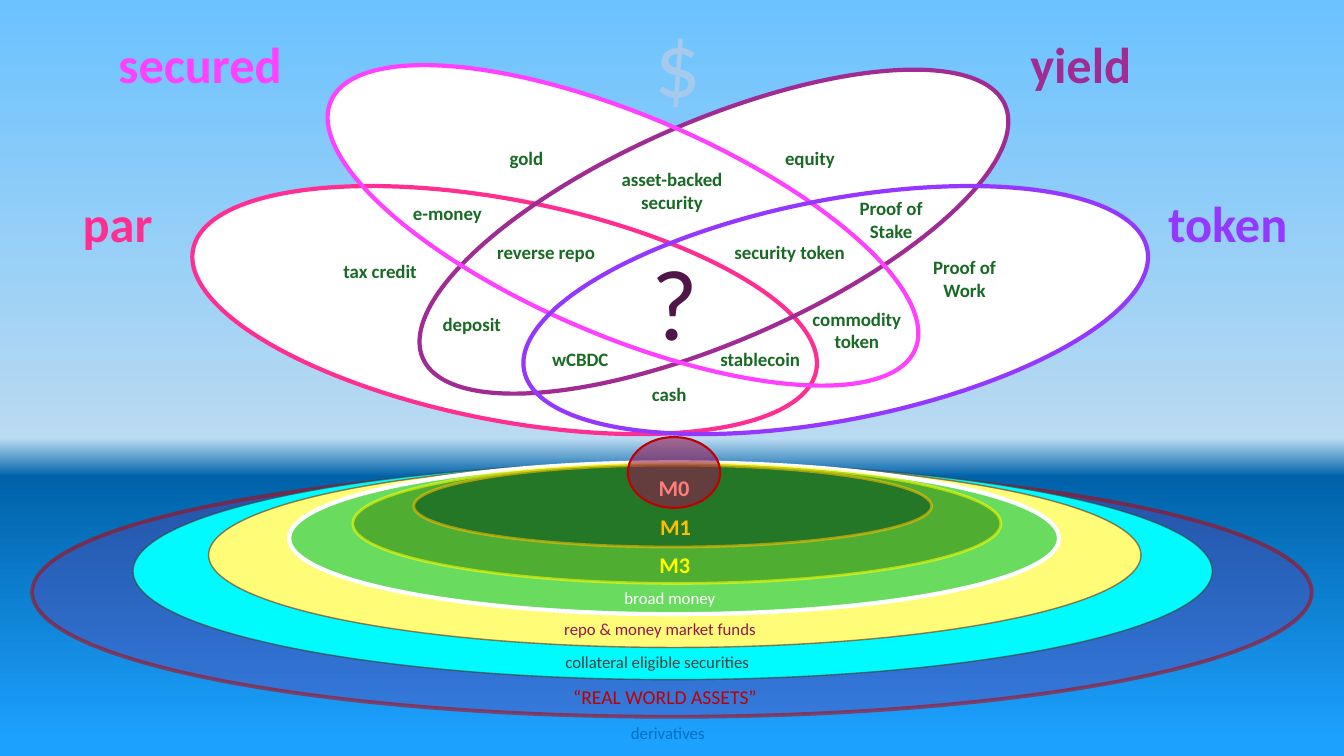
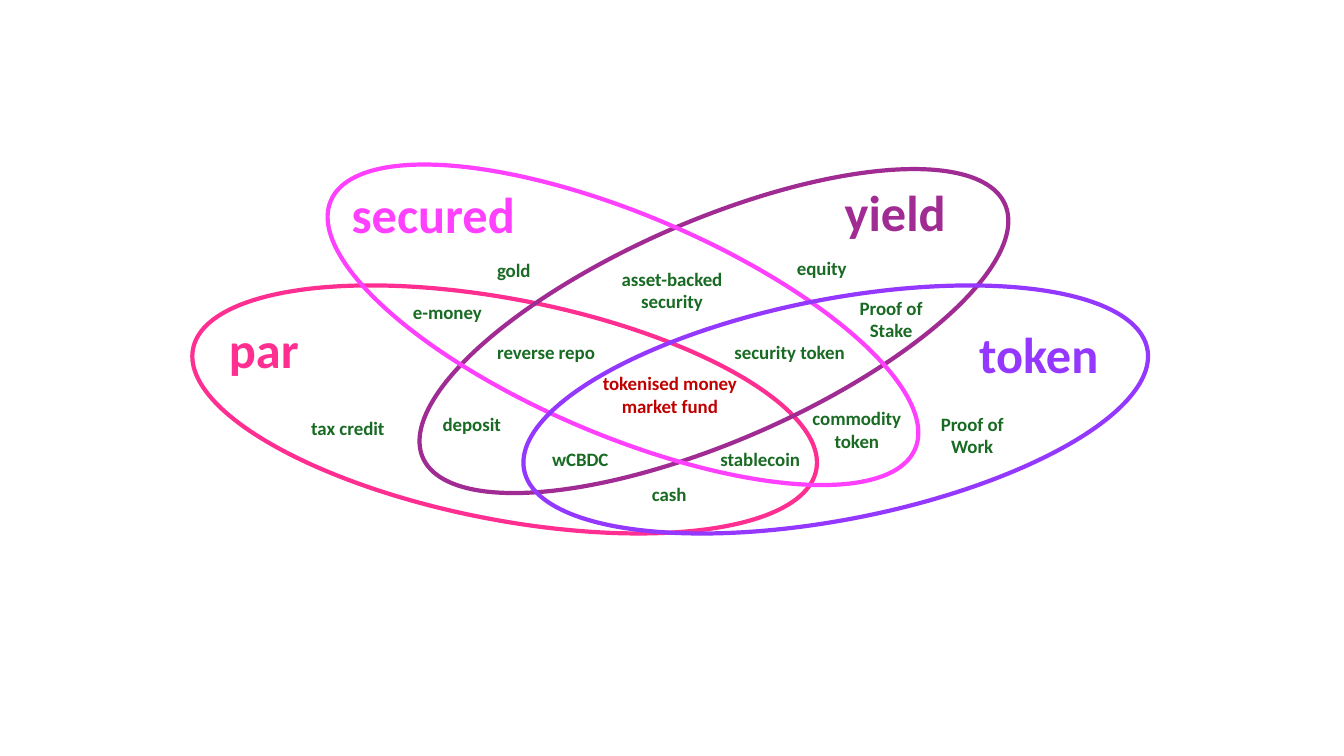
from lxml.etree import SubElement
from pptx import Presentation
from pptx.dml.color import RGBColor as RGB
from pptx.enum.shapes import MSO_SHAPE as Kind
from pptx.enum.text import MSO_AUTO_SIZE as Size, PP_ALIGN as Align
from pptx.oxml.ns import qn
from pptx.util import Pt

FONT = "Calibri"
WHITE = RGB(0xFF, 0xFF, 0xFF)
PINK = RGB(0xFF, 0x2F, 0x92)
MAGENTA = RGB(0xFF, 0x40, 0xFF)
PURPLE = RGB(0xA0, 0x2B, 0x93)
VIOLET = RGB(0x94, 0x37, 0xFF)
INDIGO = RGB(0x70, 0x30, 0xA0)
PLUM = RGB(0x50, 0x16, 0x49)
WINE = RGB(0x94, 0x16, 0x51)
RED = RGB(0xC0, 0x00, 0x00)
CORAL = RGB(0xFF, 0x7E, 0x79)
BROWN = RGB(0x80, 0x35, 0x0E)
GOLD = RGB(0xFF, 0xC0, 0x00)
YELLOW = RGB(0xFF, 0xFF, 0x00)
LEMON = RGB(0xFF, 0xFD, 0x78)
GREEN = RGB(0x19, 0x6B, 0x24)
GRASS = RGB(0x4F, 0xAD, 0x31)
LIME = RGB(0x47, 0xD4, 0x5A)
CYAN = RGB(0x00, 0xFE, 0xFF)
BLUE = RGB(0x00, 0x70, 0xC0)
PALE = RGB(0xA6, 0xCA, 0xEC)
GREY = RGB(0x40, 0x40, 0x40)

# position in percent, colour
SKY = [
    (0, RGB(0x6B, 0xC2, 0xFF)),
    (58, RGB(0xB9, 0xDA, 0xF1)),
    (63, RGB(0x00, 0x63, 0xA9)),
    (98, RGB(0x1D, 0xA1, 0xFF)),
]

# middle x, middle y, width, height, fill, opacity, line, line width, opacity
RINGS = [
    (480, 423, 914, 178, INDIGO, 31, RED, 2.75, 55),
    (480.5, 408, 771, 155, CYAN, 98, GREY, 1, 67),
    (482, 396.5, 666, 132, LEMON, 100, BROWN, 1, 66),
    (481.5, 384.5, 550, 108.5, LIME, 81, WHITE, 3, 100),
    (483.5, 374, 463, 85.5, GRASS, 100, YELLOW, 2, 57),
    (480.5, 361.5, 370, 58.5, GREEN, 81, GOLD, 2, 57),
    (481.5, 337.5, 66, 50.5, WINE, 58, RED, 1.5, 100),
]

# text, middle x, top, size, colour, bold
DEPTHS = [
    ("M0", 481.5, 335, 16, CORAL, True),
    ("M1", 482.5, 363, 16, GOLD, True),
    ("M3", 482, 390, 16, YELLOW, True),
    ("broad money", 478.5, 416, 12, WHITE, False),
    ("repo & money market funds", 471.5, 438.5, 12, WINE, False),
    ("collateral eligible securities", 469.5, 462, 12, GREY, False),
    ("“REAL WORLD ASSETS”", 475, 486, 14, RED, False),
    ("derivatives", 477, 512.5, 12, BLUE, False),
]

# middle x, middle y, turn, colour
PETALS = [
    (360.5, 221.5, 11, PINK),
    (510, 165.5, 336.5, PURPLE),
    (445, 161, 23, MAGENTA),
    (597, 221.5, 349, VIOLET),
]
PETAL_W, PETAL_H = 453.5, 157.5

# text, middle x, top
KINDS = [
    ("Proof of\nStake", 636.5, 137),
    ("cash", 478, 270),
    ("deposit", 337, 220),
    ("e-money", 319.5, 140.5),
    ("commodity\ntoken", 612, 216),
    ("wCBDC", 414.5, 245),
    ("reverse repo", 390, 168.5),
    ("stablecoin", 543, 245),
    ("asset-backed security", 480, 116.5),
    ("security token", 564, 168.5),
]

TITLES = [("secured", MAGENTA), ("yield", PURPLE),
          ("token", VIOLET), ("par", PINK)]
EDGES = ["tax credit", "Proof of Work", "gold", "equity"]


def fade(part, pct):
    """Make the colour inside a fill or line element partly clear."""
    if pct < 100:
        tone = next(part.iter(qn("a:srgbClr")))
        SubElement(tone, qn("a:alpha"), val=str(pct * 1000))


def oval(slide, x, y, w, h, fill=None, line=None, thick=3, turn=0):
    """Draw an ellipse around the middle point x, y."""
    shape = slide.shapes.add_shape(
        Kind.OVAL, Pt(x - w / 2), Pt(y - h / 2), Pt(w), Pt(h))
    shape.shadow.inherit = False
    shape.rotation = turn
    if fill is None:
        shape.fill.background()
    else:
        shape.fill.solid()
        shape.fill.fore_color.rgb = fill
    if line is None:
        shape.line.fill.background()
    else:
        shape.line.color.rgb = line
        shape.line.width = Pt(thick)
    return shape


def label(slide, text, x, top, size, color, bold=True, width=190):
    """Write centred text around the middle x, growing down from top."""
    box = slide.shapes.add_textbox(
        Pt(x - width / 2), Pt(top), Pt(width), Pt(size * 1.2 + 7.2))
    frame = box.text_frame
    frame.word_wrap = True
    frame.auto_size = Size.SHAPE_TO_FIT_TEXT
    frame.text = text
    for para in frame.paragraphs:
        para.alignment = Align.CENTER
        font = para.font
        font.name, font.size, font.bold = FONT, Pt(size), bold
        font.color.rgb = color


def tag(slide, text, x, top, color=GREEN, width=115):
    label(slide, text, x, top, 13.5, color, width=width)


def paint(slide):
    """Fill the background with sky above and sea below."""
    fill = slide.background.fill
    fill.gradient()
    fill.gradient_angle = 270
    stops = next(slide.element.iter(qn("a:gsLst")))
    for stop in list(stops):
        stops.remove(stop)
    for pos, color in SKY:
        stop = SubElement(stops, qn("a:gs"), pos=str(pos * 1000))
        SubElement(stop, qn("a:srgbClr"), val=str(color))


def pond(slide):
    """Draw the nested layers of money below the horizon."""
    for x, y, w, h, fill, clear, line, thick, soft in RINGS:
        shape = oval(slide, x, y, w, h, fill, line, thick)
        props = shape.element.spPr
        fade(props.find(qn("a:solidFill")), clear)
        fade(props.find(qn("a:ln")), soft)
    for row in DEPTHS:
        label(slide, *row)


def flower(slide, drop, heads, edges):
    """Draw the four-set diagram, moved down by drop."""
    for x, y, turn, _ in PETALS:
        oval(slide, x, y + drop, PETAL_W, PETAL_H, fill=WHITE, turn=turn)
    for x, y, turn, color in PETALS:
        oval(slide, x, y + drop, PETAL_W, PETAL_H, line=color, turn=turn)
    for (text, color), (x, top) in zip(TITLES, heads):
        label(slide, text, x, top, 36, color, width=150)
    for text, x, top in KINDS:
        tag(slide, text, x, top + drop)
    for text, (x, top) in zip(EDGES, edges):
        tag(slide, text, x, top, width=90 if " " not in text else 72 + 22 * (text == EDGES[0]))


def main():
    deck = Presentation()
    deck.slide_width, deck.slide_height = Pt(960), Pt(540)
    blank = deck.slide_layouts[6]

    slide = deck.slides.add_slide(blank)
    paint(slide)
    pond(slide)
    flower(slide, 0,
           [(143, 20), (772, 20), (877, 134), (84, 134)],
           [(271.5, 182), (689, 179), (376, 101.5), (578.5, 101.5)])
    label(slide, "?", 482, 168, 72, PLUM, False, 60)
    label(slide, "$", 484, 0, 66, PALE, False, 60)

    slide = deck.slides.add_slide(blank)
    flower(slide, 71,
           [(309.5, 127), (639.5, 126), (742, 227.5), (188.5, 224)],
           [(248.5, 294), (694.5, 291), (367, 181), (587, 180)])
    tag(slide, "tokenised money market fund", 478.5, 262, RED)

    deck.save("out.pptx")


if __name__ == "__main__":
    main()
